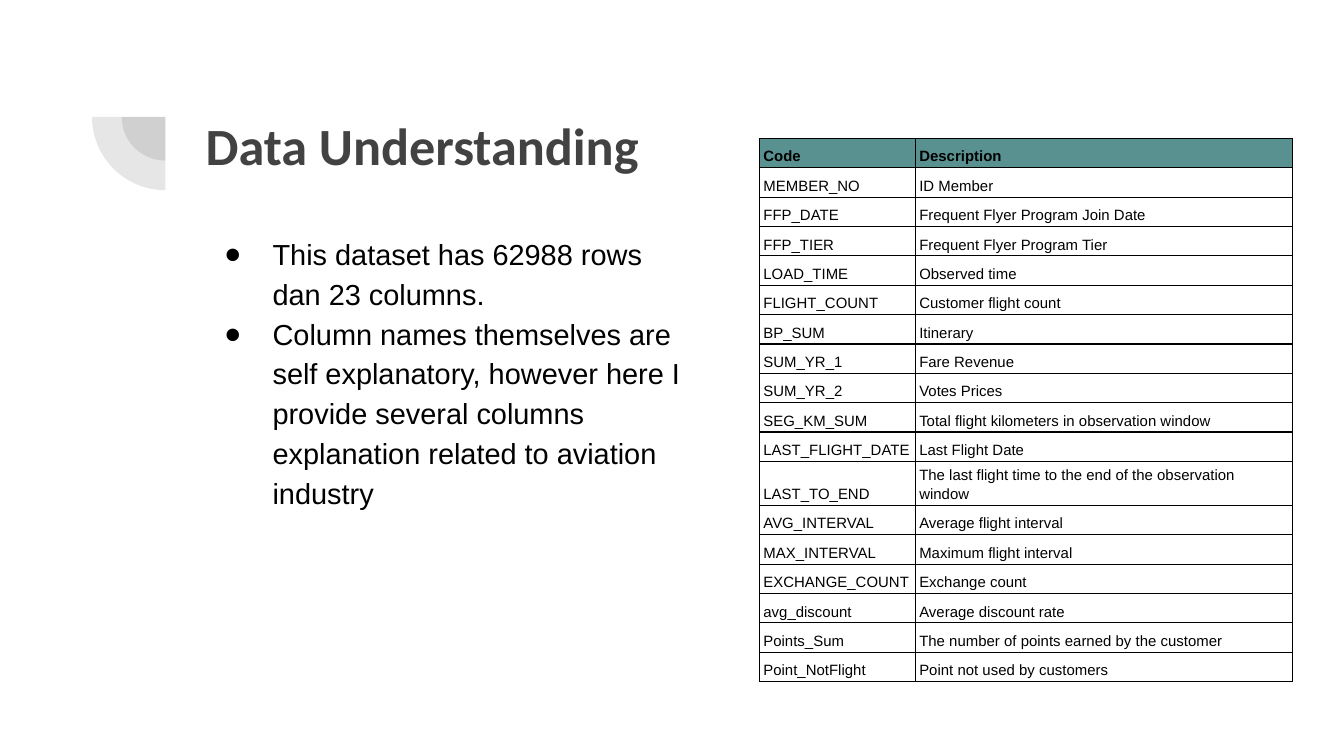
"""Build the Data Understanding slide with its column glossary."""
from lxml.etree import SubElement
from pptx import Presentation
from pptx.dml.color import RGBColor
from pptx.enum.shapes import MSO_SHAPE
from pptx.enum.text import MSO_ANCHOR, MSO_AUTO_SIZE, PP_ALIGN
from pptx.oxml import parse_xml
from pptx.oxml.ns import nsdecls, qn
from pptx.util import Inches, Pt

TITLE = "Data Understanding"
POINTS = [
    "This dataset has 62988 rows dan 23 columns.",
    "Column names themselves are self explanatory, however here I provide "
    "several columns explanation related to aviation industry",
]
ROWS = [
    ("Code", "Description"),
    ("MEMBER_NO", "ID Member"),
    ("FFP_DATE", "Frequent Flyer Program Join Date"),
    ("FFP_TIER", "Frequent Flyer Program Tier"),
    ("LOAD_TIME", "Observed time"),
    ("FLIGHT_COUNT", "Customer flight count"),
    ("BP_SUM", "Itinerary"),
    ("SUM_YR_1", "Fare Revenue"),
    ("SUM_YR_2", "Votes Prices"),
    ("SEG_KM_SUM", "Total flight kilometers in observation window"),
    ("LAST_FLIGHT_DATE", "Last Flight Date"),
    ("LAST_TO_END", "The last flight time to the end of the observation window"),
    ("AVG_INTERVAL", "Average flight interval"),
    ("MAX_INTERVAL", "Maximum flight interval"),
    ("EXCHANGE_COUNT", "Exchange count"),
    ("avg_discount", "Average discount rate"),
    ("Points_Sum", "The number of points earned by the customer"),
    ("Point_NotFlight", "Point not used by customers"),
]
COLORS = {"ink": "000000", "gray": "424242", "head": "599191", "paper": "FFFFFF"}
WIDTHS = (1.16, 2.81)
ROW, TALL, WRAP = Pt(15.75), Pt(22.5), 50
HUB = (1.23, 0.87)
RINGS = (0.65, 1.09)
LEFT = 1.43


def rgb(name):
    return RGBColor.from_string(COLORS[name])


def style(par, face, size, color, bold=False):
    par.font.name, par.font.size, par.font.bold = face, Pt(size), bold
    par.font.color.rgb = rgb(color)


def frame(shape):
    text = shape.text_frame
    text.word_wrap, text.auto_size = True, MSO_AUTO_SIZE.NONE
    text.vertical_anchor = MSO_ANCHOR.TOP
    text.margin_left = text.margin_right = Inches(0.1)
    text.margin_top = text.margin_bottom = Inches(0.1)
    return text


def add_ring(slide, size):
    x, y = (mid - size / 2 for mid in HUB)
    pie = slide.shapes.add_shape(
        MSO_SHAPE.PIE, Inches(x), Inches(y), Inches(size), Inches(size))
    pie.adjustments[0], pie.adjustments[1] = 108, 162
    pie.rotation = 270
    pie.shadow.inherit = False
    pie.line.fill.background()
    pie.fill.solid()
    pie.fill.fore_color.rgb = rgb("gray")
    tint = pie.element.spPr.find(".//" + qn("a:srgbClr"))
    SubElement(tint, qn("a:alpha"), val="13000")


def add_title(slide):
    title = slide.shapes.title
    title.left, title.top = Inches(LEFT), Inches(0.74)
    title.width, title.height = Inches(7.69), Inches(1.09)
    text = frame(title)
    text.text = TITLE
    par = text.paragraphs[0]
    par.alignment = PP_ALIGN.LEFT
    style(par, "Calibri", 28, "gray", True)


def add_points(slide):
    box = slide.shapes.add_textbox(
        Inches(LEFT), Inches(1.62), Inches(3.83), Inches(3.21))
    text = frame(box)
    text.text = "\n".join(POINTS)
    for par in text.paragraphs:
        par.line_spacing = 1.15
        style(par, "Arial", 15.5, "ink")
        props = par._p.get_or_add_pPr()
        props.set("marL", str(Inches(0.5)))
        props.set("indent", str(Inches(-0.36)))
        bullet = (
            f'<a:buClr {nsdecls("a")}><a:srgbClr val="{COLORS["ink"]}"/></a:buClr>',
            f'<a:buFont {nsdecls("a")} typeface="Arial"/>',
            f'<a:buChar {nsdecls("a")} char="●"/>',
        )
        for spot, xml in enumerate(bullet, 1):
            props.insert(spot, parse_xml(xml))


def fill_cell(cell, words, head):
    cell.text = words
    cell.vertical_anchor = MSO_ANCHOR.BOTTOM
    cell.margin_left = cell.margin_right = Inches(0.03)
    cell.margin_top = cell.margin_bottom = Inches(0.02)
    cell.fill.solid()
    cell.fill.fore_color.rgb = rgb("head" if head else "paper")
    par = cell.text_frame.paragraphs[0]
    par.line_spacing = 1.15
    style(par, "Arial", 8, "ink", head)
    props = cell._tc.get_or_add_tcPr()
    for spot, side in enumerate("LRTB"):
        props.insert(spot, parse_xml(
            f'<a:ln{side} {nsdecls("a")} w="{Pt(0.75)}"><a:solidFill>'
            f'<a:srgbClr val="{COLORS["ink"]}"/></a:solidFill></a:ln{side}>'))


def add_grid(slide):
    highs = [TALL if len(note) > WRAP else ROW for _, note in ROWS]
    grid = slide.shapes.add_table(
        len(ROWS), len(WIDTHS), Inches(5.65), Inches(1.03),
        Inches(sum(WIDTHS)), sum(highs)).table
    grid.horz_banding = False
    for col, width in zip(grid.columns, WIDTHS):
        col.width = Inches(width)
    for i, (row, high) in enumerate(zip(grid.rows, highs)):
        row.height = high
        for cell, words in zip(row.cells, ROWS[i]):
            fill_cell(cell, words, i == 0)


def main():
    deck = Presentation()
    deck.slide_width = Inches(10)
    deck.slide_height = deck.slide_width * 9 // 16
    slide = deck.slides.add_slide(deck.slide_layouts[5])
    for size in RINGS:
        add_ring(slide, size)
    add_title(slide)
    add_points(slide)
    add_grid(slide)
    deck.save("out.pptx")


if __name__ == "__main__":
    main()
